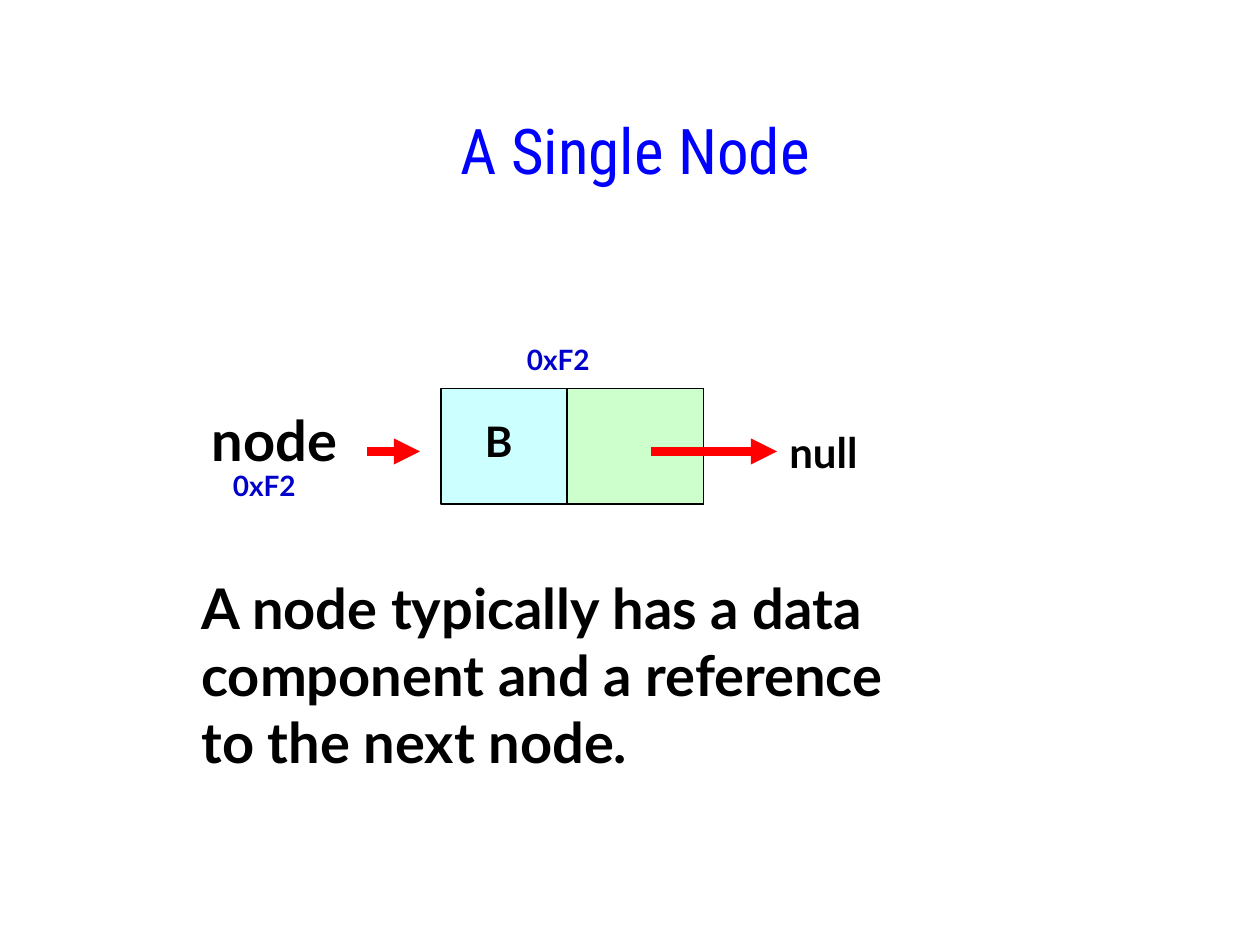
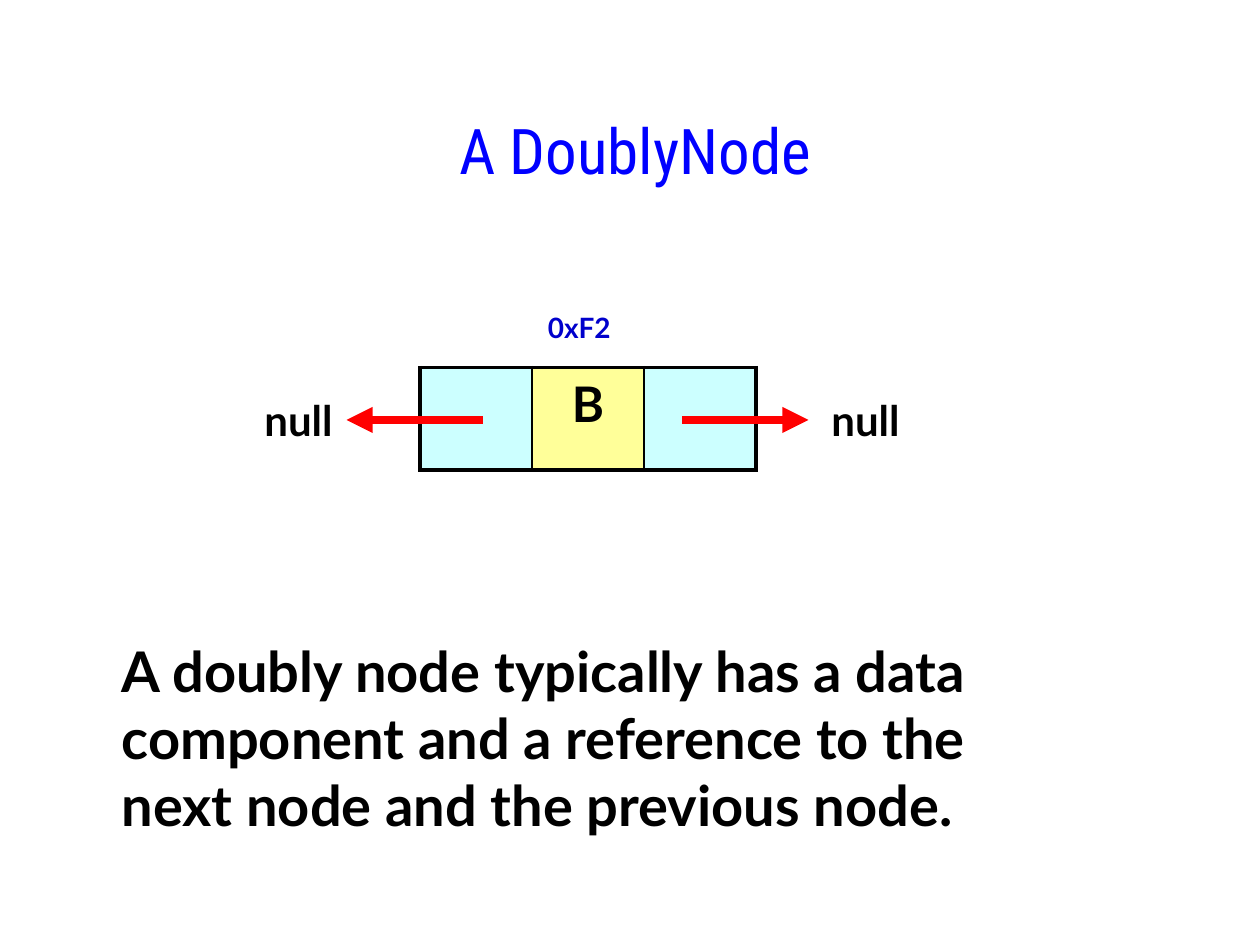
from dataclasses import dataclass

from lxml import etree
from pptx import Presentation
from pptx.dml.color import RGBColor
from pptx.enum.shapes import MSO_CONNECTOR, MSO_SHAPE
from pptx.enum.text import MSO_ANCHOR, PP_ALIGN
from pptx.oxml.ns import qn
from pptx.util import Inches, Pt

STRAIGHT = MSO_CONNECTOR.STRAIGHT
RECT = MSO_SHAPE.RECTANGLE
LEFT, CENTER = PP_ALIGN.LEFT, PP_ALIGN.CENTER
TOP = MSO_ANCHOR.TOP

WIDTH, HEIGHT = Inches(10), Inches(7.5)
COLS, ROWS = 120, 90


@dataclass(frozen=True)
class Theme:
    title_font: str = "Roboto Condensed"
    body_font: str = "Lato"
    title: str = "0000FF"
    text: str = "000000"
    address: str = "0000CC"
    arrow: str = "FF0000"
    cyan: str = "CCFFFF"
    green: str = "CCFFCC"
    yellow: str = "FFFF99"
    title_size: int = 36
    body_size: int = 32
    cell_size: int = 28
    label_size: int = 24
    address_size: int = 16
    thin: float = 1
    thick: float = 2.25
    arrow_width: float = 5


def rgb(value):
    return RGBColor.from_string(value)


def x(col):
    return round(WIDTH * col / COLS)


def y(row):
    return round(HEIGHT * row / ROWS)


def box(left, top, width, height):
    return x(left), y(top), x(width), y(height)


class Deck:
    """Draws on the current slide; all lengths are grid columns and rows."""

    def __init__(self, theme):
        self.theme = theme
        self.prs = Presentation()
        self.prs.slide_width, self.prs.slide_height = WIDTH, HEIGHT
        self.slide = None

    def new_slide(self, title):
        self.slide = self.prs.slides.add_slide(self.prs.slide_layouts[6])
        t = self.theme
        self.text(title, 11, 10, 99, 14, t.title_size, align=CENTER,
                  color=t.title, name=t.title_font, bold=False)

    def fill_text(self, tf, text, size, align=LEFT, **style):
        t = self.theme
        look = {"name": t.body_font, "bold": True, "size": Pt(size), **style}
        color = look.pop("color", t.text)
        for i, line in enumerate(text.split("\n")):
            p = tf.add_paragraph() if i else tf.paragraphs[0]
            p.alignment = align
            r = p.add_run()
            r.text = line
            for key, value in look.items():
                setattr(r.font, key, value)
            r.font.color.rgb = rgb(color)

    def text(self, text, left, top, width, height, size, **style):
        sp = self.slide.shapes.add_textbox(*box(left, top, width, height))
        tf = sp.text_frame
        tf.word_wrap = True
        tf.vertical_anchor = TOP
        self.fill_text(tf, text, size, **style)

    def label(self, text, left, top):
        self.text(text, left, top, 13, 6, self.theme.label_size)

    def address(self, left, top):
        t = self.theme
        self.text("0xF2", left, top, 13, 4.4, t.address_size, color=t.address)

    def body(self, text, left, top, width):
        self.text(text, left, top, width, 20.4, self.theme.body_size)

    def rect(self, left, top, width, height, fill):
        sp = self.slide.shapes.add_shape(RECT, *box(left, top, width, height))
        sp.shadow.inherit = False
        sp.fill.solid()
        sp.fill.fore_color.rgb = rgb(fill)
        sp.line.color.rgb = rgb(self.theme.text)
        sp.line.width = Pt(self.theme.thin)

    def arrow(self, start, end, row):
        connector = self.slide.shapes.add_connector(
            STRAIGHT, x(start), y(row), x(end), y(row))
        connector.line.color.rgb = rgb(self.theme.arrow)
        connector.line.width = Pt(self.theme.arrow_width)
        sp_pr = connector._element.spPr
        etree.SubElement(sp_pr.find(qn("a:ln")), qn("a:tailEnd"),
                         type="triangle")
        etree.SubElement(sp_pr, qn("a:effectLst"))

    def border(self, cell, side, width):
        tc_pr = cell._tc.get_or_add_tcPr()
        ln = etree.SubElement(tc_pr, qn(f"a:ln{side}"), w=str(int(Pt(width))))
        fill = etree.SubElement(ln, qn("a:solidFill"))
        etree.SubElement(fill, qn("a:srgbClr"), val=self.theme.text)

    def node_table(self, cells, left, top, width, height):
        """One row of (text, fill) cells with a thick outer frame."""
        t = self.theme
        table = self.slide.shapes.add_table(
            1, len(cells), *box(left, top, width, height)).table
        table.first_row = table.horz_banding = False
        last = len(cells) - 1
        for i, (text, fill) in enumerate(cells):
            table.columns[i].width = x(width / len(cells))
            cell = table.cell(0, i)
            widths = {"L": t.thin if i else t.thick,
                      "R": t.thin if i < last else t.thick,
                      "T": t.thick, "B": t.thick}
            for side, line_width in widths.items():
                self.border(cell, side, line_width)
            cell.fill.solid()
            cell.fill.fore_color.rgb = rgb(fill)
            if text:
                self.fill_text(cell.text_frame, text, t.cell_size,
                               align=CENTER)


def single_node(deck):
    t = deck.theme
    deck.new_slide("A Single Node")
    deck.arrow(35, 40, 43)
    deck.rect(42, 37, 25, 11, t.cyan)
    deck.rect(54, 37, 13, 11, t.green)
    deck.arrow(62, 74, 43)
    deck.label("B", 45, 39)
    deck.label("null", 74, 40)
    deck.text("node", 19, 38, 17, 7.5, t.body_size)
    deck.address(21, 44)
    deck.address(49, 32)
    deck.body("A node typically has a data\n"
              "component and a reference\n"
              "to the next node.", 18, 54, 76)


def doubly_node(deck):
    t = deck.theme
    deck.new_slide("A DoublyNode")
    deck.address(51, 29)
    for col in (24, 78):
        deck.label("null", col, 37)
    deck.body("A doubly node typically has a data\n"
              "component and a reference to the\n"
              "next node and the previous node.", 10.4, 60, 95)
    deck.node_table([("", t.cyan), ("B", t.yellow), ("", t.cyan)],
                    40, 35, 32, 9.75)
    deck.arrow(65, 77, 40)
    deck.arrow(46, 33, 40)


def main():
    deck = Deck(Theme())
    single_node(deck)
    doubly_node(deck)
    deck.prs.save("out.pptx")


if __name__ == "__main__":
    main()
